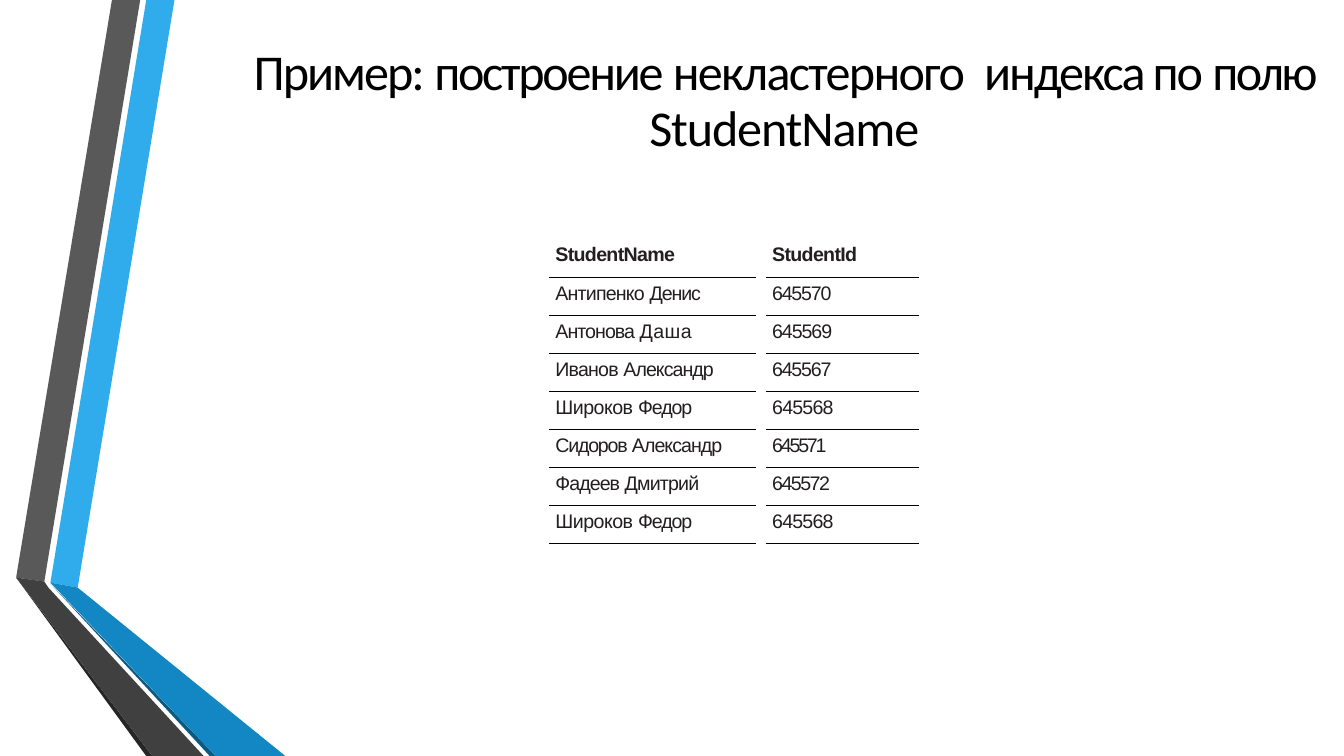
from dataclasses import dataclass

from lxml import etree
from pptx import Presentation
from pptx.dml.color import RGBColor
from pptx.enum.text import MSO_ANCHOR, PP_ALIGN
from pptx.oxml.ns import qn
from pptx.util import Inches, Pt

BOTTOM, CENTER = MSO_ANCHOR.BOTTOM, PP_ALIGN.CENTER
SLIDE_W, SLIDE_H = Inches(13.33), Inches(7.5)


@dataclass(frozen=True)
class Theme:
    """Colours, fonts and type sizes of the slide."""
    title_font: str = "Calibri"
    table_font: str = "Arial"
    title_size: float = 35.8
    table_size: float = 14
    title_color: str = "000000"
    table_color: str = "231E20"
    rule_color: str = "010202"
    blue: str = "30ACEC"
    deep_blue: str = "1287C3"
    blue_edge: str = "0C5A82"
    grey: str = "595959"
    deep_grey: str = "404040"
    grey_edge: str = "262626"


THEME = Theme()

RIBBONS = [
    (THEME.blue, [(3.75, 77.07), (5.78, 77.73), (12.98, 0), (10.88, 0)]),
    (THEME.grey, [(10.43, 0), (8.33, 0), (1.2, 76.4), (3.3, 76.93)]),
    (THEME.grey_edge, [(1.2, 76.4), (10.88, 100), (11.33, 100)]),
    (THEME.blue_edge, [(3.75, 77.2), (15.6, 100), (16.05, 100)]),
    (THEME.deep_blue, [(3.75, 77.07), (16.05, 100), (21.23, 100), (5.78, 77.73)]),
    (THEME.deep_grey, [(15.15, 100), (3.6, 77.73), (3.3, 76.93), (1.2, 76.4), (11.33, 100)]),
]

TITLE = [("Пример: ", -1.4), ("построение ", -1.6), ("некластерного  ", -1.2),
         ("индекса по ", -1.5), ("полю ", -1.9), ("StudentName", -0.8)]

HEADER = ([("StudentName", -0.5)], [("StudentId", -0.5)])
STUDENTS = [
    ([("Антипенко ", -0.6), ("Денис", -0.8)], [("645570", -0.9)]),
    ([("Антонова ", -0.7), ("Даша", 0.3)], [("645569", -0.8)]),
    ([("Иванов ", -0.6), ("Александр", -0.7)], [("645567", -0.9)]),
    ([("Широков ", -0.4), ("Федор", -0.8)], [("645568", -0.6)]),
    ([("Сидоров ", -0.9), ("Александр", -0.7)], [("645571", -1.6)]),
    ([("Фадеев ", -0.7), ("Дмитрий", -0.6)], [("645572", -1.1)]),
    ([("Широков ", -0.4), ("Федор", -0.8)], [("645568", -0.6)]),
]
COLUMN_SHARES = (15.38, 0.75, 11.4)
HEADER_SHARE, ROW_SHARE = 4.93, 5.03


def across(percent):
    """Turn a percentage of the slide's width into a length."""
    return round(SLIDE_W * percent / 100)


def down(percent):
    """Turn a percentage of the slide's height into a length."""
    return round(SLIDE_H * percent / 100)


def add_ribbon(slide, color, corners):
    """Draw one flat facet of the folded ribbons."""
    outline = [(across(x), down(y)) for x, y in corners]
    builder = slide.shapes.build_freeform(*outline[0], scale=1.0)
    builder.add_line_segments(outline[1:], close=True)
    facet = builder.convert_to_shape()
    facet.shadow.inherit = False
    facet.fill.solid()
    facet.fill.fore_color.rgb = RGBColor.from_string(color)
    facet.line.fill.background()


def write_spaced(paragraph, pieces, font, size, color, bold=False):
    """Write pieces of text, each with its own letter spacing."""
    for words, spacing in pieces:
        run = paragraph.add_run()
        run.text = words
        run.font.name = font
        run.font.size = Pt(size)
        run.font.bold = bold
        run.font.color.rgb = RGBColor.from_string(color)
        run._r.get_or_add_rPr().set("spc", str(round(spacing * 100)))


def set_margins(holder, top=0):
    """Clear the margins of a cell or text frame except the top one."""
    holder.margin_left = holder.margin_right = holder.margin_bottom = 0
    holder.margin_top = top


def add_title(slide):
    """Place the centred slide title."""
    box = slide.shapes.add_textbox(across(16.73), down(4.8), across(83.25), down(15.87))
    frame = box.text_frame
    frame.word_wrap = True
    frame.vertical_anchor = BOTTOM
    set_margins(frame, down(0.8))
    heading = frame.paragraphs[0]
    heading.alignment = CENTER
    heading.line_spacing = Pt(40)
    heading.space_before = Pt(4.6)
    write_spaced(heading, TITLE, THEME.title_font, THEME.title_size, THEME.title_color)


def set_borders(cell, ruled_sides):
    """Rule the named sides of a cell and clear the others."""
    properties = cell._tc.get_or_add_tcPr()
    for side in ("lnL", "lnR", "lnT", "lnB"):
        border = etree.SubElement(properties, qn(f"a:{side}"), w=str(Pt(1)))
        if side in ruled_sides:
            fill = etree.SubElement(border, qn("a:solidFill"))
            etree.SubElement(fill, qn("a:srgbClr"), val=THEME.rule_color)
        else:
            etree.SubElement(border, qn("a:noFill"))


def fill_cell(cell, pieces, is_header):
    """Write a header or student value into a cell."""
    set_margins(cell, 0 if is_header else down(0.67))
    cell.margin_left = across(0.45)
    paragraph = cell.text_frame.paragraphs[0]
    if is_header:
        paragraph.line_spacing = Pt(18.1)
    else:
        paragraph.space_before = Pt(6.2)
    write_spaced(paragraph, pieces, THEME.table_font, THEME.table_size,
                 THEME.table_color, is_header)


def add_index_table(slide):
    """Build the index table with a narrow gap between its columns."""
    records = [HEADER, *STUDENTS]
    height = HEADER_SHARE + ROW_SHARE * len(STUDENTS)
    table = slide.shapes.add_table(
        len(records), len(COLUMN_SHARES), across(40.88), down(31.73),
        across(sum(COLUMN_SHARES)), down(height)).table
    table.first_row = table.horz_banding = False
    for column, share in zip(table.columns, COLUMN_SHARES):
        column.width = across(share)
    for index, (name, number) in enumerate(records):
        is_header = index == 0
        table.rows[index].height = down(HEADER_SHARE if is_header else ROW_SHARE)
        rules = ("lnB",) if is_header else ("lnT", "lnB")
        for position, pieces in enumerate((name, None, number)):
            cell = table.cell(index, position)
            set_borders(cell, rules if pieces else ())
            cell.fill.background()
            if pieces:
                fill_cell(cell, pieces, is_header)
            else:
                set_margins(cell)


def main():
    """Build and save the slide."""
    deck = Presentation()
    deck.slide_width, deck.slide_height = SLIDE_W, SLIDE_H
    slide = deck.slides.add_slide(deck.slide_layouts[6])
    for color, corners in RIBBONS:
        add_ribbon(slide, color, corners)
    add_title(slide)
    add_index_table(slide)
    deck.save("out.pptx")


if __name__ == "__main__":
    main()
